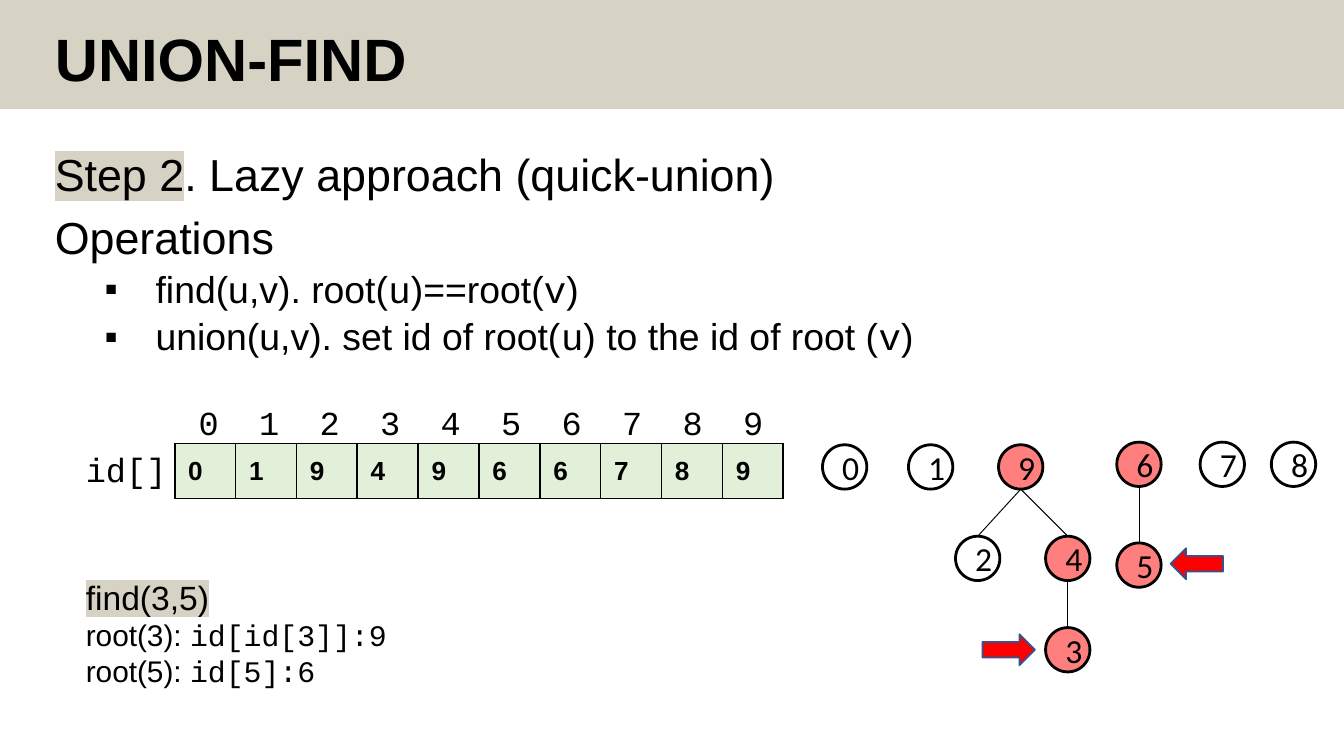
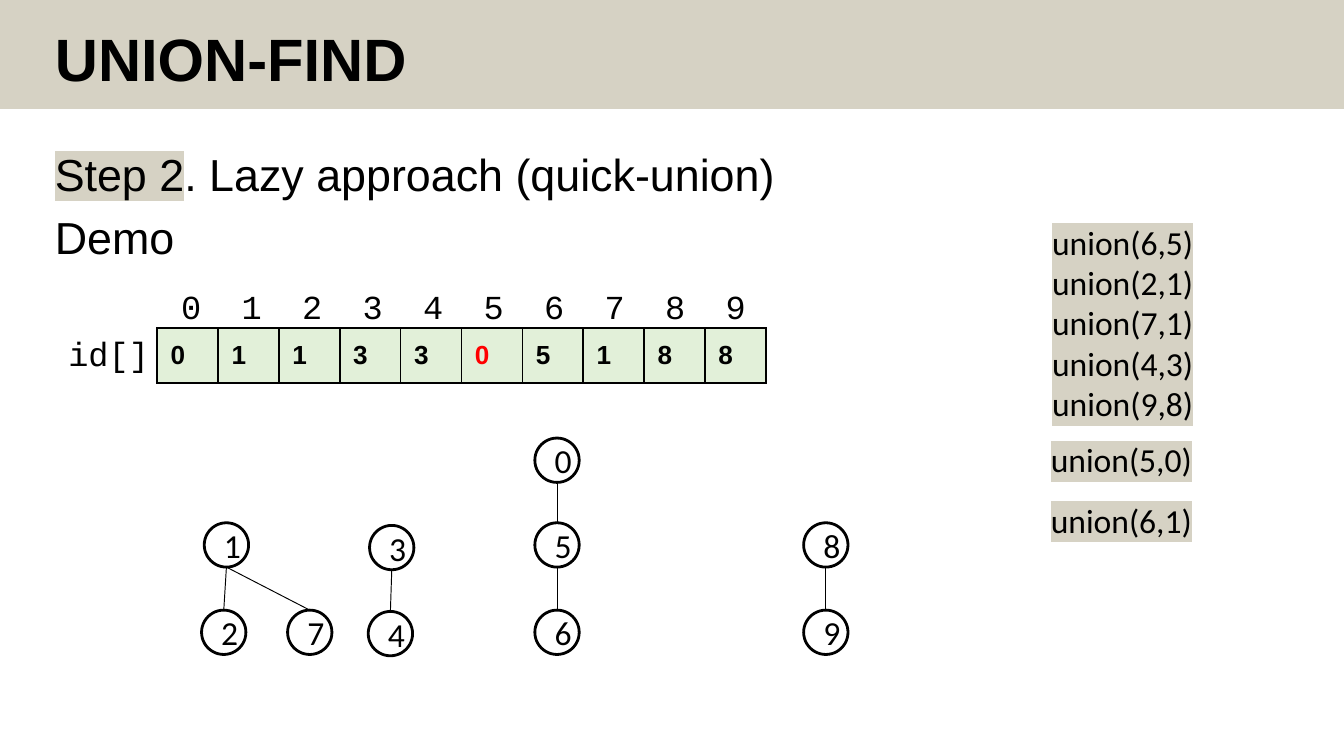
from dataclasses import dataclass

from lxml.etree import SubElement
from pptx import Presentation
from pptx.dml.color import RGBColor
from pptx.enum.shapes import MSO_CONNECTOR as Connector, MSO_SHAPE as Preset
from pptx.enum.text import MSO_ANCHOR as Anchor, PP_ALIGN as Align
from pptx.oxml.ns import qn
from pptx.slide import Slide
from pptx.util import Inches, Pt


@dataclass(frozen=True)
class Theme:
    ink: str = "000000"
    band: str = "D6D2C4"
    cell: str = "E2F0D9"
    accent: str = "FF0000"
    arrow_edge: str = "325491"
    sans: str = "Arial"
    mono: str = "Courier New"
    label: str = "Calibri"
    title_size: int = 32
    body_size: int = 24
    bullet_size: int = 20
    label_size: int = 18
    trace_size: int = 16
    cell_size: int = 14


THEME = Theme()
CELL_COUNT = 10
TABLE_WIDTH = 4.53
INDEX_STEP = 0.45
NODE_SIZE = 0.33


@dataclass(frozen=True)
class Span:
    text: str
    size: int = THEME.label_size
    font: str = THEME.sans
    color: str = THEME.ink
    bold: bool = False
    marked: bool = False


@dataclass(frozen=True)
class Para:
    spans: tuple[Span, ...]
    spacing: float = 1.0
    before: float = 0
    bullet: bool = False
    tabs: int = 0


@dataclass(frozen=True)
class Node:
    label: str
    left: float
    top: float
    active: bool = False


@dataclass(frozen=True)
class Pointer:
    left: float
    top: float
    rotation: int = 0


def rgb(value: str) -> RGBColor:
    return RGBColor.from_string(value)


# Text
def write_para(para, content: Para) -> None:
    props = para._p.get_or_add_pPr()
    if content.bullet:
        props.set("marL", str(Inches(0.75)))
        props.set("indent", str(Inches(-0.38)))
        SubElement(props, qn("a:buFont")).set("typeface", THEME.sans)
        SubElement(props, qn("a:buChar")).set("char", "▪")
    if content.tabs:
        stops = SubElement(props, qn("a:tabLst"))
        for number in range(1, content.tabs + 1):
            stop = SubElement(stops, qn("a:tab"))
            stop.set("pos", str(Inches(number * INDEX_STEP)))
            stop.set("algn", "l")
    para.line_spacing = content.spacing
    para.space_before = Pt(content.before)
    for span in content.spans:
        run = para.add_run()
        run.text = span.text
        run.font.size = Pt(span.size)
        run.font.bold = span.bold
        run.font.color.rgb = rgb(span.color)
        if span.marked:
            highlight = SubElement(run._r.get_or_add_rPr(), qn("a:highlight"))
            SubElement(highlight, qn("a:srgbClr")).set("val", THEME.band)
        run.font.name = span.font


def add_text(page: Slide, left: float, top: float, width: float, height: float,
             paras: list[Para], wrap: bool = False) -> None:
    box = page.shapes.add_textbox(Inches(left), Inches(top), Inches(width), Inches(height))
    frame = box.text_frame
    frame.word_wrap = wrap
    for number, content in enumerate(paras):
        write_para(frame.add_paragraph() if number else frame.paragraphs[0], content)


def body_para(*spans: Span, before: float = 7.5) -> Para:
    return Para(spans, spacing=0.9, before=before)


def operation(text: str) -> Para:
    """Bullet whose pieces between backticks are set in the code font."""
    spans = tuple(
        Span(piece, THEME.bullet_size, THEME.mono if number % 2 else THEME.sans)
        for number, piece in enumerate(text.split("`"))
    )
    return Para(spans, spacing=0.9, before=3.8, bullet=True)


def trace(call: str, result: str) -> Para:
    return Para((Span(call, THEME.trace_size), Span(result, THEME.trace_size, THEME.mono)))


# Page frame: band, title, step heading
def add_page(deck, paras: list[Para]) -> Slide:
    page = deck.slides.add_slide(deck.slide_layouts[6])
    band = page.shapes.add_shape(Preset.RECTANGLE, 0, 0, deck.slide_width, Inches(0.81))
    band.shadow.inherit = False
    band.fill.solid()
    band.fill.fore_color.rgb = rgb(THEME.band)
    band.line.fill.background()
    title = Span("UNION-FIND", THEME.title_size, bold=True)
    add_text(page, 0.31, 0.17, 8.62, 0.64, [body_para(title, before=0)], wrap=True)
    step = body_para(Span("Step 2", THEME.body_size, marked=True),
                     Span(". Lazy approach (quick-union)", THEME.body_size), before=0)
    add_text(page, 0.31, 1.09, 9.14, 4.1, [step, *paras], wrap=True)
    return page


# Array of ids
def add_borders(cell) -> None:
    props = cell._tc.get_or_add_tcPr()
    for side in ("lnL", "lnR", "lnT", "lnB"):
        line = SubElement(props, qn(f"a:{side}"))
        line.set("w", str(Pt(1)))
        fill = SubElement(line, qn("a:solidFill"))
        SubElement(fill, qn("a:srgbClr")).set("val", THEME.ink)


def add_array(page: Slide, left: float, top: float, values: str,
              changed: int | None = None) -> None:
    add_text(page, left - 0.76, top - 0.01, 0.81, 0.4,
             [Para((Span("id[]", font=THEME.mono),))])
    indices = "\t".join(str(index) for index in range(CELL_COUNT))
    add_text(page, left + 0.08, top - 0.36, 4.72, 0.4,
             [Para((Span(indices, font=THEME.mono),), tabs=CELL_COUNT - 1)], wrap=True)
    table = page.shapes.add_table(1, CELL_COUNT, Inches(left), Inches(top),
                                  Inches(TABLE_WIDTH), Inches(0.41)).table
    table.first_row = table.horz_banding = False
    for index, value in enumerate(values.split()):
        cell = table.cell(0, index)
        add_borders(cell)
        cell.fill.solid()
        cell.fill.fore_color.rgb = rgb(THEME.cell)
        cell.vertical_anchor = Anchor.MIDDLE
        color = THEME.accent if index == changed else THEME.ink
        write_para(cell.text_frame.paragraphs[0],
                   Para((Span(value, THEME.cell_size, color=color, bold=True),)))


# Forest of nodes
def add_node(page: Slide, node: Node) -> None:
    circle = page.shapes.add_shape(Preset.OVAL, Inches(node.left), Inches(node.top),
                                   Inches(NODE_SIZE), Inches(NODE_SIZE))
    circle.shadow.inherit = False
    if node.active:
        circle.fill.solid()
        circle.fill.fore_color.rgb = rgb(THEME.accent)
        color = circle._element.spPr.find(f".//{qn('a:srgbClr')}")
        SubElement(color, qn("a:alpha")).set("val", "50000")
    else:
        circle.fill.background()
    circle.line.color.rgb = rgb(THEME.ink)
    circle.line.width = Pt(1.5)
    circle.text_frame.vertical_anchor = Anchor.MIDDLE
    para = circle.text_frame.paragraphs[0]
    write_para(para, Para((Span(node.label, font=THEME.label),)))
    para.alignment = Align.CENTER


def add_edge(page: Slide, parent: Node, child: Node) -> None:
    half = NODE_SIZE / 2
    edge = page.shapes.add_connector(
        Connector.STRAIGHT, Inches(parent.left + half), Inches(parent.top + NODE_SIZE),
        Inches(child.left + half), Inches(child.top))
    edge.line.color.rgb = rgb(THEME.ink)
    edge.line.width = Pt(0.5)
    SubElement(edge._element.spPr, qn("a:effectLst"))


def add_forest(page: Slide, nodes: list[Node], edges: str) -> None:
    """Draw the nodes and the edges, each edge given as parent then child."""
    by_label = {node.label: node for node in nodes}
    for node in nodes:
        add_node(page, node)
    for parent, child in edges.split():
        add_edge(page, by_label[parent], by_label[child])


def add_pointer(page: Slide, pointer: Pointer) -> None:
    arrow = page.shapes.add_shape(Preset.RIGHT_ARROW, Inches(pointer.left),
                                  Inches(pointer.top), Inches(0.39), Inches(0.23))
    arrow.shadow.inherit = False
    arrow.rotation = pointer.rotation
    arrow.fill.solid()
    arrow.fill.fore_color.rgb = rgb(THEME.accent)
    arrow.line.color.rgb = rgb(THEME.arrow_edge)
    arrow.line.width = Pt(1)


# Slides
def add_operations(deck) -> None:
    page = add_page(deck, [
        body_para(Span("Operations", THEME.body_size)),
        operation("find(u,v). root(`u`)==root(`v`)"),
        operation("union(u,v). set id of root(`u`) to the id of root (`v`)"),
    ])
    add_array(page, 1.3, 3.3, "0 1 9 4 9 6 6 7 8 9")
    add_text(page, 0.54, 4.24, 2.48, 0.94, [
        Para((Span("find(3,5)", marked=True),)),
        trace("root(3): ", "id[id[3]]:9"),
        trace("root(5): ", "id[5]:6"),
    ])
    add_forest(page, [
        Node("0", 6.12, 3.31), Node("1", 6.76, 3.31),
        Node("4", 7.78, 3.99, True), Node("2", 7.11, 3.99),
        Node("3", 7.78, 4.67, True), Node("5", 8.31, 4.04, True),
        Node("6", 8.31, 3.29, True), Node("9", 7.43, 3.31, True),
        Node("7", 8.93, 3.29), Node("8", 9.46, 3.29),
    ], "94 92 43 65")
    for pointer in (Pointer(7.31, 4.72), Pointer(8.71, 4.08, 180)):
        add_pointer(page, pointer)


def add_demo(deck) -> None:
    page = add_page(deck, [body_para(Span("Demo", THEME.body_size))])
    add_forest(page, [
        Node("0", 3.98, 3.26), Node("1", 1.52, 3.89), Node("4", 2.74, 4.55),
        Node("2", 1.5, 4.54), Node("3", 2.75, 3.91), Node("5", 3.98, 3.89),
        Node("6", 3.98, 4.54), Node("9", 5.98, 4.54), Node("7", 2.14, 4.54),
        Node("8", 5.98, 3.89),
    ], "56 12 89 34 17 05")
    add_array(page, 1.17, 2.44, "0 1 1 3 3 0 5 1 8 8", changed=5)
    for left, top, width, height, calls in (
        (7.73, 1.6, 1.29, 1.62, "union(6,5) union(2,1) union(7,1) union(4,3) union(9,8)"),
        (7.72, 3.22, 1.27, 0.4, "union(5,0)"),
        (7.72, 3.67, 1.27, 0.4, "union(6,1)"),
    ):
        add_text(page, left, top, width, height, [
            Para((Span(call, font=THEME.label, marked=True),)) for call in calls.split()
        ])


def main() -> None:
    deck = Presentation()
    deck.slide_width = Inches(10)
    deck.slide_height = deck.slide_width * 9 // 16
    add_operations(deck)
    add_demo(deck)
    deck.save("out.pptx")


if __name__ == "__main__":
    main()
